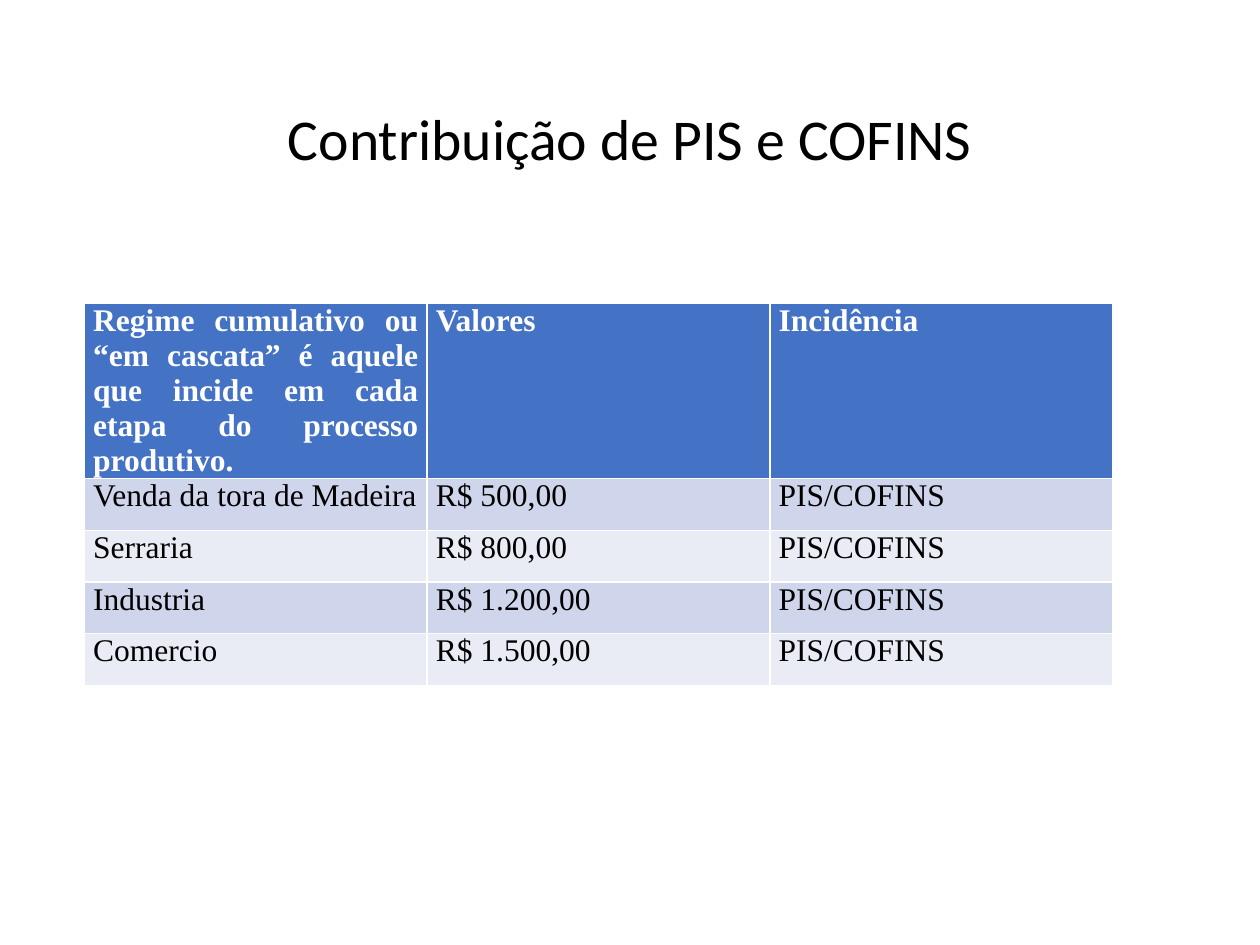
from pptx import Presentation
from pptx.dml.color import RGBColor
from pptx.enum.text import MSO_ANCHOR, PP_ALIGN
from pptx.util import Inches, Pt

COLORS = {
    "title": "000000",
    "header": "4472C4",
    "header_text": "FFFFFF",
    "odd_row": "CFD5EA",
    "even_row": "E9EBF5",
    "row_text": "000000",
}
CELL_FORMAT = {
    "margin_left": Inches(0.07),
    "margin_right": Inches(0.07),
    "margin_top": 0,
    "margin_bottom": 0,
}
TITLE_FONT = {"name": "Calibri", "size": Pt(33), "bold": False}
CELL_FONT = {"name": "Times New Roman", "size": Pt(18)}

ROWS = [
    ("Regime cumulativo ou “em cascata” é aquele que incide em cada "
     "etapa do processo produtivo.", "Valores", "Incidência"),
    ("Venda da tora de Madeira", "R$ 500,00", "PIS/COFINS"),
    ("Serraria", "R$ 800,00", "PIS/COFINS"),
    ("Industria", "R$ 1.200,00", "PIS/COFINS"),
    ("Comercio", "R$ 1.500,00", "PIS/COFINS"),
]
HEADER_HEIGHT, ROW_HEIGHT = 1.39, 0.41
COLUMN_WIDTH = 2.72


def set_all(target, values):
    for name, value in values.items():
        setattr(target, name, value)


prs = Presentation()
prs.slide_width, prs.slide_height = Inches(10), Inches(7.5)
slide = prs.slides.add_slide(prs.slide_layouts[5])

heading = slide.shapes.title
set_all(heading, {"left": Inches(0.69), "top": Inches(0.4),
                  "width": Inches(8.62), "height": Inches(1.45)})
heading.text_frame.text = "Contribuição de PIS e COFINS"
heading.text_frame.vertical_anchor = MSO_ANCHOR.MIDDLE
heading_line = heading.text_frame.paragraphs[0]
set_all(heading_line, {"alignment": PP_ALIGN.CENTER, "line_spacing": 0.9})
set_all(heading_line.runs[0].font, TITLE_FONT)
heading_line.runs[0].font.color.rgb = RGBColor.from_string(COLORS["title"])

total_height = HEADER_HEIGHT + ROW_HEIGHT * (len(ROWS) - 1)
regime = slide.shapes.add_table(
    len(ROWS), len(ROWS[0]), Inches(0.67), Inches(2.41),
    Inches(COLUMN_WIDTH * len(ROWS[0])), Inches(total_height)).table
for column in regime.columns:
    column.width = Inches(COLUMN_WIDTH)

for r, values in enumerate(ROWS):
    is_header = r == 0
    regime.rows[r].height = Inches(HEADER_HEIGHT if is_header else ROW_HEIGHT)
    fill = "header" if is_header else "odd_row" if r % 2 else "even_row"
    ink = "header_text" if is_header else "row_text"
    for c, value in enumerate(values):
        cell = regime.cell(r, c)
        set_all(cell, CELL_FORMAT)
        cell.fill.solid()
        cell.fill.fore_color.rgb = RGBColor.from_string(COLORS[fill])
        cell.text = value
        entry = cell.text_frame.paragraphs[0]
        entry.alignment = PP_ALIGN.JUSTIFY
        font = entry.runs[0].font
        set_all(font, CELL_FONT)
        font.bold = is_header
        font.color.rgb = RGBColor.from_string(COLORS[ink])

prs.save("out.pptx")
